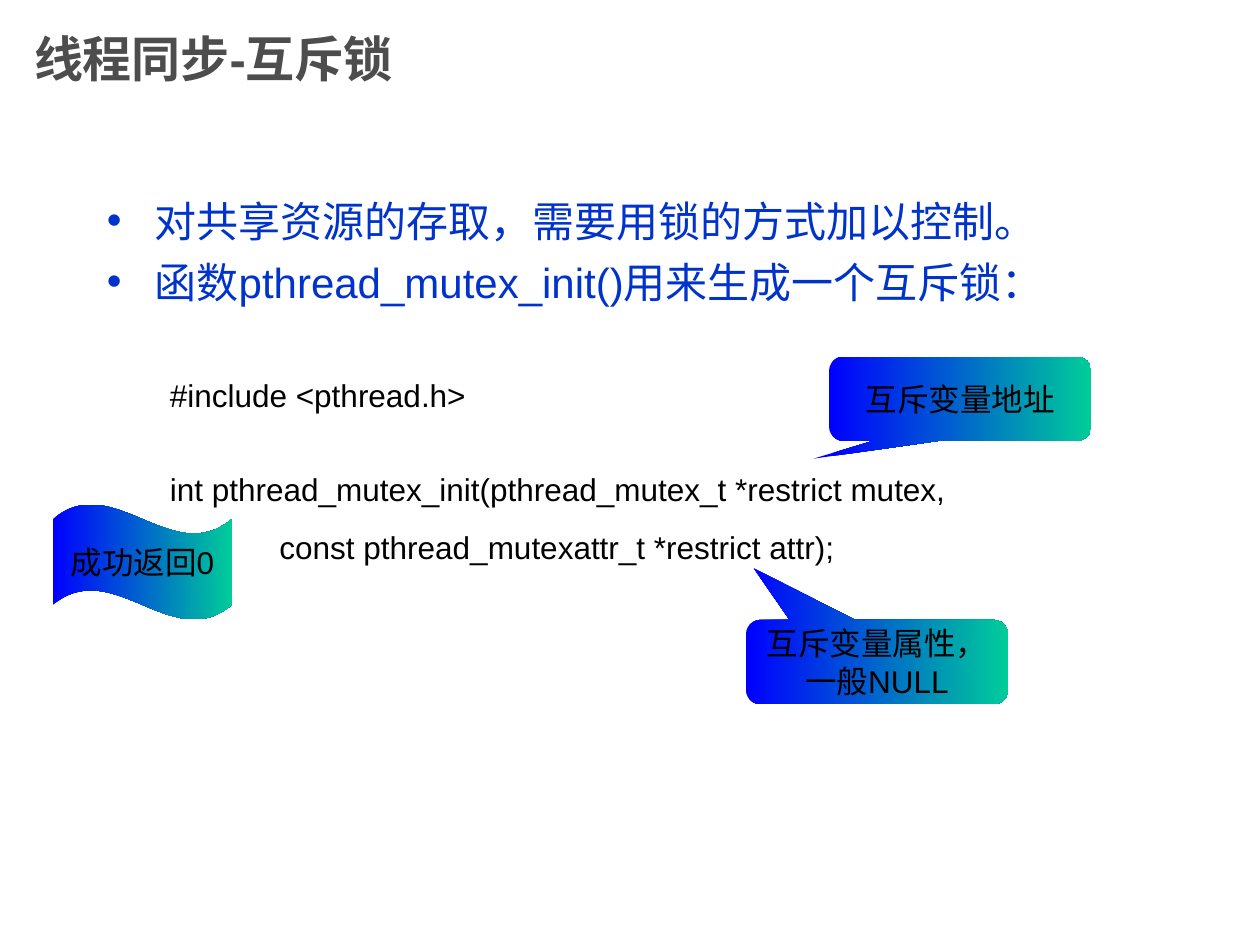
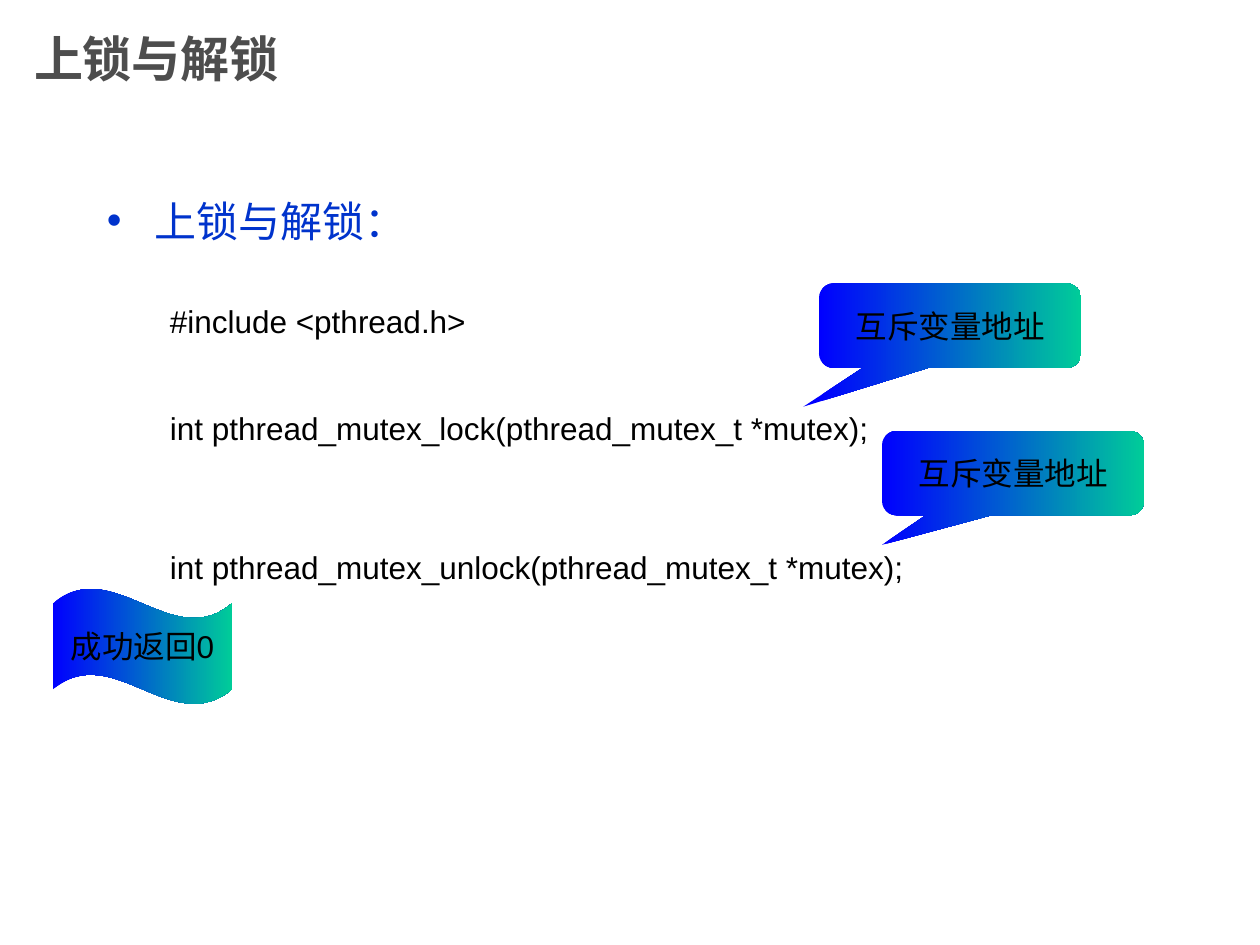
from lxml import etree
from pptx import Presentation
from pptx.dml.color import RGBColor
from pptx.enum.shapes import MSO_SHAPE
from pptx.enum.text import MSO_ANCHOR, PP_ALIGN
from pptx.oxml.ns import qn
from pptx.util import Inches, Pt

CALLOUT = MSO_SHAPE.ROUNDED_RECTANGULAR_CALLOUT
WAVE = MSO_SHAPE.WAVE
MIDDLE = MSO_ANCHOR.MIDDLE
LEFT, CENTER = PP_ALIGN.LEFT, PP_ALIGN.CENTER

FONT = "Arial"
TITLE_COLOR = "4D4D4D"
BULLET_COLOR = "0033CC"
CODE_COLOR = "000000"
GRADIENT = ("0000FF", "00CC99")
TITLE_ONLY = 5
CODE_MARGIN = 0.81
ARGUMENT_MARGIN = 1.37


def rgb(value):
    return RGBColor.from_string(value)


def write(paragraph, text, size=18, color=CODE_COLOR, bold=False,
          align=LEFT, before=0):
    paragraph.alignment = align
    paragraph.space_before = Pt(before)
    span = paragraph.add_run()
    span.text = text
    span.font.name = FONT
    span.font.size = Pt(size)
    span.font.bold = bold
    span.font.color.rgb = rgb(color)


def indent(paragraph, margin, first=0):
    properties = paragraph._p.get_or_add_pPr()
    properties.set("marL", str(Inches(margin)))
    properties.set("indent", str(Inches(first)))
    return properties


def add_page(deck, title):
    page = deck.slides.add_slide(deck.slide_layouts[TITLE_ONLY])
    box = page.shapes.title
    box.left, box.top = Inches(0.17), Inches(0)
    box.width, box.height = Inches(7.5), Inches(0.92)
    box.text_frame.vertical_anchor = MIDDLE
    write(box.text_frame.paragraphs[0], title, size=28, color=TITLE_COLOR, bold=True)
    return page


def add_body(page):
    box = page.shapes.add_textbox(Inches(0.75), Inches(1.5), Inches(8.5), Inches(5.17))
    box.text_frame.word_wrap = True
    return box.text_frame


def next_paragraph(frame):
    first = frame.paragraphs[0]
    return frame.add_paragraph() if first.runs else first


def add_bullet(frame, text, before=0):
    paragraph = next_paragraph(frame)
    properties = indent(paragraph, 0.38, -0.38)
    color = etree.SubElement(properties, qn("a:buClr"))
    etree.SubElement(color, qn("a:srgbClr")).set("val", BULLET_COLOR)
    etree.SubElement(properties, qn("a:buFont")).set("typeface", FONT)
    etree.SubElement(properties, qn("a:buChar")).set("char", "•")
    write(paragraph, text, size=24, color=BULLET_COLOR, before=before)


def add_code(frame, text, before, margin=CODE_MARGIN, first=-0.31):
    paragraph = next_paragraph(frame)
    indent(paragraph, margin, first)
    write(paragraph, text, before=before)


def add_note(page, kind, left, top, width, height, text, adjustments, wrap=True):
    note = page.shapes.add_shape(
        kind, Inches(left), Inches(top), Inches(width), Inches(height))
    for index, value in enumerate(adjustments):
        note.adjustments[index] = value
    note.shadow.inherit = False
    note.line.fill.background()
    note.fill.gradient()
    note.fill.gradient_angle = 0
    for stop, color in zip(note.fill.gradient_stops, GRADIENT):
        stop.color.rgb = rgb(color)
    frame = note.text_frame
    frame.word_wrap = wrap
    frame.vertical_anchor = MIDDLE
    write(frame.paragraphs[0], text, align=CENTER)


def add_callout(page, left, top, text, tip_x, tip_y):
    add_note(page, CALLOUT, left, top, 2.08, 0.67, text, (tip_x, tip_y, 0.17))


def add_return_flag(page, top):
    add_note(page, WAVE, 0.42, top, 1.42, 0.92, "成功返回0", (0.13,), wrap=False)


def build_mutex_page(deck):
    page = add_page(deck, "线程同步-互斥锁")
    body = add_body(page)
    add_bullet(body, "对共享资源的存取，需要用锁的方式加以控制。")
    add_bullet(body, "函数pthread_mutex_init()用来生成一个互斥锁：", before=6)
    add_code(body, "#include <pthread.h>", before=40)
    add_code(body, "int pthread_mutex_init(pthread_mutex_t *restrict mutex,", before=32)
    add_code(body, "const pthread_mutexattr_t *restrict attr);", before=11.5,
             margin=ARGUMENT_MARGIN, first=0)
    add_callout(page, 6.58, 2.83, "互斥变量地址", -0.56, 0.71)
    add_callout(page, 5.92, 4.92, "互斥变量属性，一般NULL", -0.47, -1.11)
    add_return_flag(page, 4)


def build_lock_page(deck):
    page = add_page(deck, "上锁与解锁")
    body = add_body(page)
    add_bullet(body, "上锁与解锁：")
    add_code(body, "#include <pthread.h>", before=32)
    add_code(body, "int pthread_mutex_lock(pthread_mutex_t *mutex);", before=40)
    add_code(body, "int pthread_mutex_unlock(pthread_mutex_t *mutex);", before=57.5)
    add_callout(page, 6.5, 2.25, "互斥变量地址", -0.56, 0.96)
    add_callout(page, 7, 3.42, "互斥变量地址", -0.5, 0.85)
    add_return_flag(page, 4.67)


def main():
    deck = Presentation()
    deck.slide_width, deck.slide_height = Inches(10), Inches(7.5)
    build_mutex_page(deck)
    build_lock_page(deck)
    deck.save("out.pptx")


if __name__ == "__main__":
    main()
